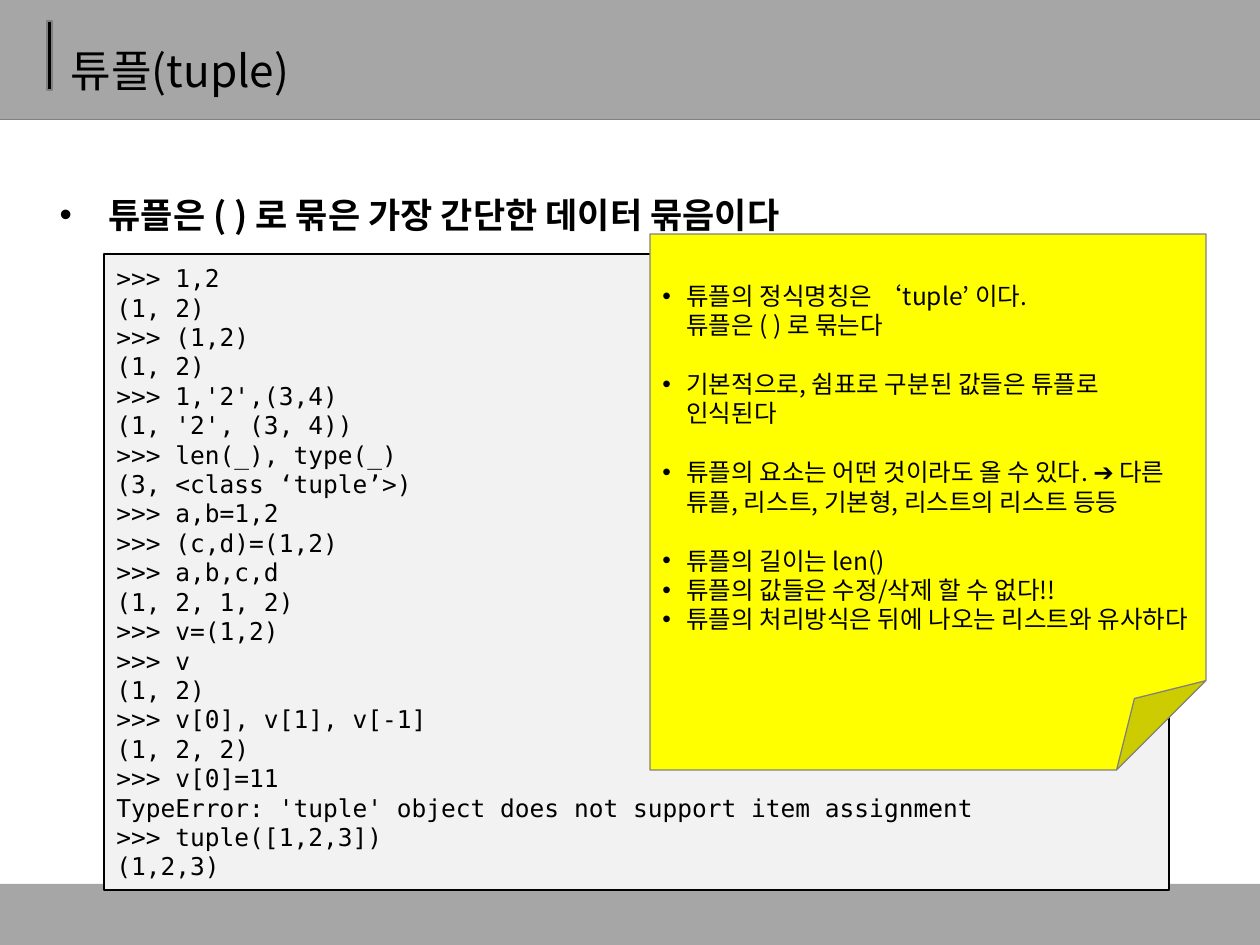
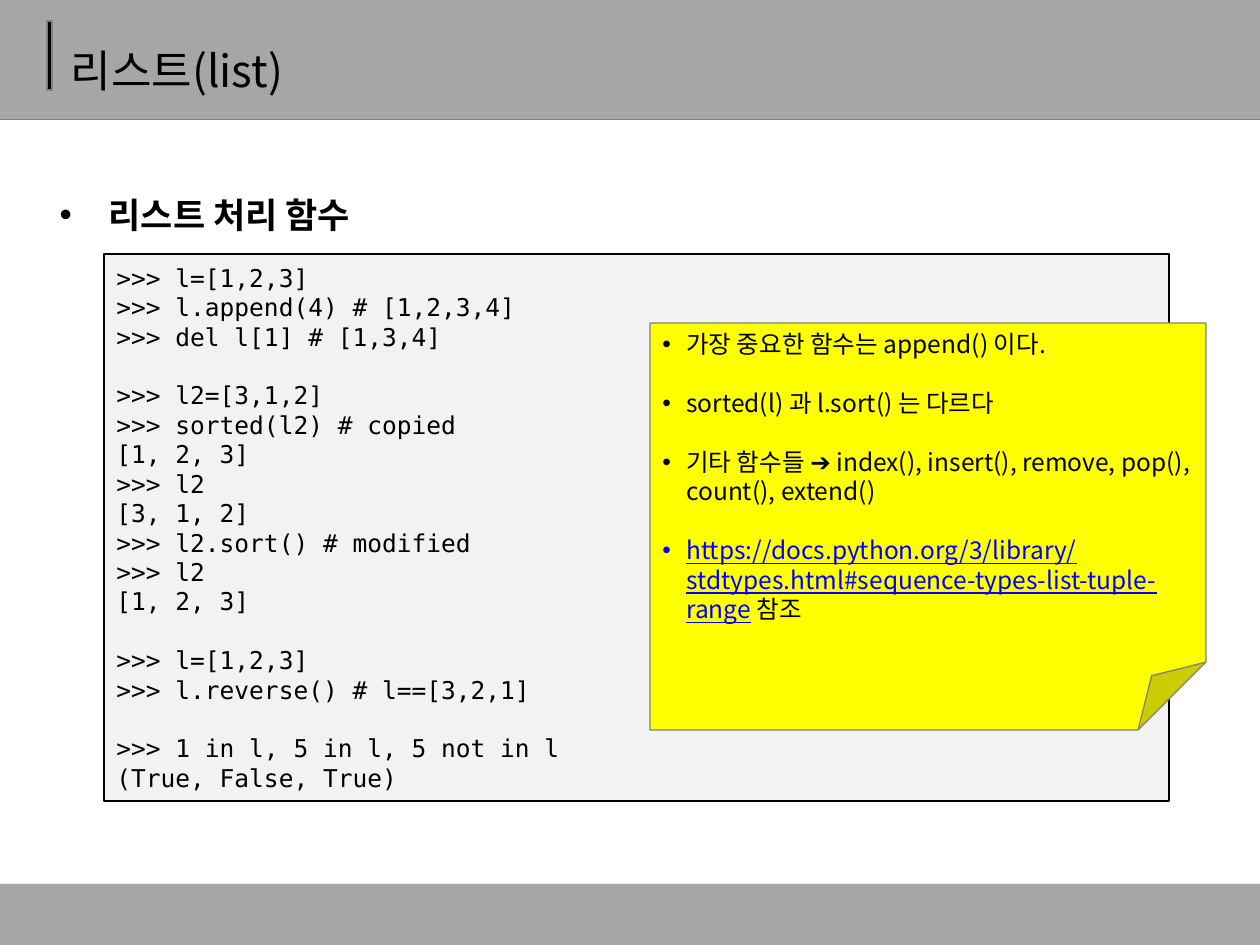
from lxml import etree
from pptx import Presentation
from pptx import util as u
from pptx.dml.color import RGBColor
from pptx.enum import shapes, text
from pptx.oxml.ns import qn

PX = 914400 / 126
COLORS = {"band": "A6A6A6", "edge": "808080", "ink": "000000", "code": "F2F2F2",
          "note": "FFFF00", "link": "0000FF"}
KOREAN, MONO = "Noto Sans CJK KR", "DejaVu Sans Mono"
LINE = 16.8

SLIDES = [
    {
        "title": "튜플(tuple)",
        "topic": "튜플은 ( ) 로 묶은 가장 간단한 데이터 묶음이다",
        "code": """>>> 1,2
(1, 2)
>>> (1,2)
(1, 2)
>>> 1,'2',(3,4)
(1, '2', (3, 4))
>>> len(_), type(_)
(3, <class ‘tuple’>)
>>> a,b=1,2
>>> (c,d)=(1,2)
>>> a,b,c,d
(1, 2, 1, 2)
>>> v=(1,2)
>>> v
(1, 2)
>>> v[0], v[1], v[-1]
(1, 2, 2)
>>> v[0]=11
TypeError: 'tuple' object does not support item assignment
>>> tuple([1,2,3])
(1,2,3)""",
        "code_height": 636,
        "note": """튜플의 정식명칭은 ‘tuple’ 이다.\v튜플은 ( ) 로 묶는다

기본적으로, 쉼표로 구분된 값들은 튜플로 인식된다

튜플의 요소는 어떤 것이라도 올 수 있다. ➔ 다른 튜플, 리스트, 기본형, 리스트의 리스트 등등

튜플의 길이는 len()
튜플의 값들은 수정/삭제 할 수 없다!!
튜플의 처리방식은 뒤에 나오는 리스트와 유사하다""",
        "note_top": 234, "note_height": 536, "note_anchor": text.MSO_ANCHOR.MIDDLE,
    },
    {
        "title": "리스트(list)",
        "topic": "리스트 처리 함수",
        "code": """>>> l=[1,2,3]
>>> l.append(4) # [1,2,3,4]
>>> del l[1] # [1,3,4]

>>> l2=[3,1,2]
>>> sorted(l2) # copied
[1, 2, 3]
>>> l2
[3, 1, 2]
>>> l2.sort() # modified
>>> l2
[1, 2, 3]

>>> l=[1,2,3]
>>> l.reverse() # l==[3,2,1]

>>> 1 in l, 5 in l, 5 not in l
(True, False, True)""",
        "code_height": 547,
        "note": """가장 중요한 함수는 append() 이다.

sorted(l) 과 l.sort() 는 다르다

기타 함수들 ➔ index(), insert(), remove, pop(), count(), extend()

https://docs.python.org/3/library/stdtypes.html#sequence-types-list-tuple-range""",
        "note_tail": " 참조",
        "note_top": 323, "note_height": 407, "note_anchor": text.MSO_ANCHOR.TOP,
    },
]


def add_box(slide, kind, box, fill, edge=None):
    shape = slide.shapes.add_shape(kind, *(u.Emu(round(n * PX)) for n in box))
    shape.shadow.inherit = False
    shape.fill.solid()
    shape.fill.fore_color.rgb = RGBColor.from_string(COLORS[fill])
    if edge:
        shape.line.color.rgb = RGBColor.from_string(COLORS[edge])
        shape.line.width = u.Pt(0.75)
    else:
        shape.line.fill.background()
    return shape


def write(frame, content, face, size, pitch, indent=0, bold=False):
    frame.word_wrap = True
    frame.auto_size = text.MSO_AUTO_SIZE.NONE
    blocks = [block.split("\n") for block in content.split("\n\n")]
    frame.text = "\n".join(line for block in blocks for line in block)
    gaps = [pitch if number and not row else 0
            for number, block in enumerate(blocks) for row in range(len(block))]
    for paragraph, gap in zip(frame.paragraphs, gaps):
        paragraph.alignment = text.PP_ALIGN.LEFT
        paragraph.line_spacing = u.Pt(pitch)
        paragraph.space_before = u.Pt(gap)
        if indent:
            properties = paragraph._p.get_or_add_pPr()
            properties.set("marL", str(round(indent * PX)))
            properties.set("indent", str(-round(indent * PX)))
            etree.SubElement(properties, qn("a:buFont"), typeface="Arial")
            etree.SubElement(properties, qn("a:buChar"), char="•")
        for run in paragraph.runs:
            run.font.name = face
            run.font.size = u.Pt(size)
            run.font.bold = bold
            run.font.color.rgb = RGBColor.from_string(COLORS["ink"])
            east_asian = etree.Element(qn("a:ea"), typeface=face)
            run.font._element.find(qn("a:latin")).addnext(east_asian)


presentation = Presentation()
presentation.slide_width = u.Emu(round(1260 * PX))
presentation.slide_height = u.Emu(round(945 * PX))
layout = presentation.slide_layouts[1]
slides = [presentation.slides.add_slide(layout) for content in SLIDES]

RECTANGLE = shapes.MSO_SHAPE.RECTANGLE
header = add_box(slides[0], RECTANGLE, (0, -1, 1260, 120), "band")
rule = slides[0].shapes.add_connector(
    shapes.MSO_CONNECTOR.STRAIGHT, 0, round(119.5 * PX), round(1260 * PX), round(119.5 * PX))
rule.line.color.rgb = RGBColor.from_string(COLORS["edge"])
rule.line.width = u.Pt(0.75)
etree.SubElement(rule._element.spPr, qn("a:effectLst"))
title_bar = add_box(slides[0], RECTANGLE, (47, 21, 5, 69), "ink", "edge")
footer = add_box(slides[0], RECTANGLE, (0, 884, 1260, 61), "band")
for position, shape in enumerate((header, rule, title_bar, footer)):
    shape._element.xpath(".//p:cNvPr")[0].set("id", str(100 + position))
    layout.shapes._spTree.insert(2 + position, shape._element)

for slide, content in zip(slides, SLIDES):
    title, body = slide.shapes.title, slide.placeholders[1]
    for shape, box in ((title, (58, 18, 1086, 78)), (body, (47, 145, 1169, 649))):
        shape.left, shape.top, shape.width, shape.height = (round(n * PX) for n in box)
    title.text_frame.vertical_anchor = text.MSO_ANCHOR.MIDDLE
    write(title.text_frame, content["title"], KOREAN, 25.2, 45)
    write(body.text_frame, content["topic"], KOREAN, 20, 48, indent=49, bold=True)

    code = add_box(slide, RECTANGLE, (104, 254, 1065, content["code_height"]), "code", "ink")
    code.text_frame.vertical_anchor = text.MSO_ANCHOR.MIDDLE
    write(code.text_frame, content["code"], MONO, 14, LINE)

    note = add_box(slide, shapes.MSO_SHAPE.FOLDED_CORNER,
                   (650, content["note_top"], 556, content["note_height"]), "note", "edge")
    note.text_frame.vertical_anchor = content["note_anchor"]
    tail = content.get("note_tail", "")
    write(note.text_frame, content["note"], KOREAN, 14, LINE, indent=24)
    if tail:
        paragraph = note.text_frame.paragraphs[-1]
        link = paragraph.runs[0]
        ending = paragraph.add_run()
        ending.text = tail
        ending.font.name = KOREAN
        ending.font.size = u.Pt(14)
        ending.font.color.rgb = RGBColor.from_string(COLORS["ink"])
        etree.SubElement(ending.font._element, qn("a:ea"), typeface=KOREAN)
        link.font.underline = True
        link.font.color.rgb = RGBColor.from_string(COLORS["link"])

presentation.save("out.pptx")
